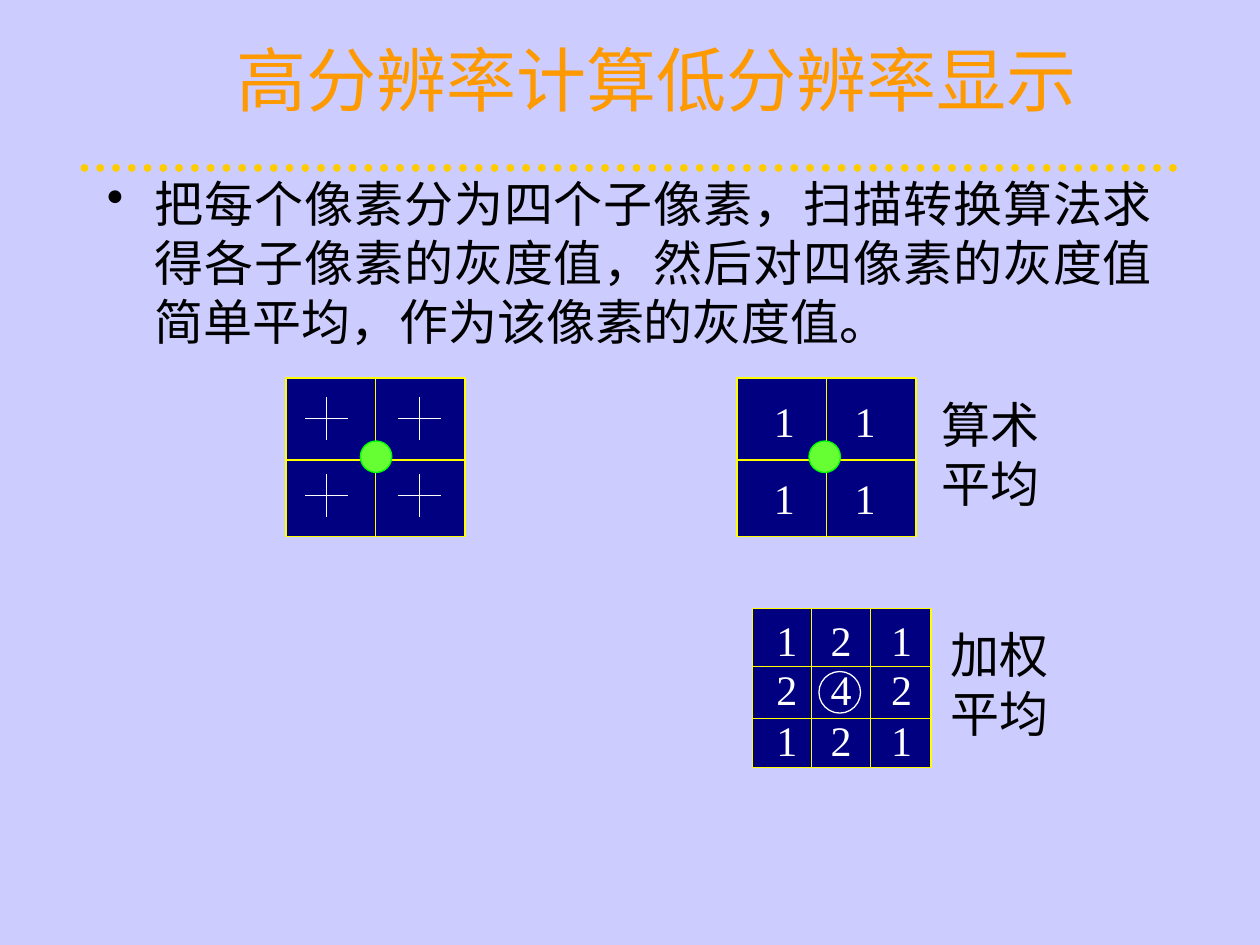
from dataclasses import dataclass
from itertools import product

from lxml import etree
from pptx import Presentation
from pptx.dml.color import RGBColor as RGB
from pptx.enum.dml import MSO_LINE
from pptx.enum.shapes import MSO_CONNECTOR as CONN, MSO_SHAPE as SHAPE
from pptx.enum.text import MSO_ANCHOR as ANCHOR, PP_ALIGN as ALIGN
from pptx.oxml.ns import qn
from pptx.util import Inches, Pt


@dataclass(frozen=True)
class Theme:
    font: str = "Times New Roman"
    background: str = "CCCCFF"
    title: str = "FF9900"
    rule: str = "FFCC00"
    text: str = "000000"
    light: str = "FFFFFF"
    pixel: str = "000080"
    edge: str = "FFFF00"
    dot: str = "66FF33"
    dot_edge: str = "00FF00"
    title_size: float = 40
    body_size: float = 28
    digit_size: float = 24
    thin: float = 0.75
    thick: float = 4.5


class Deck:
    """Holds the theme and the current slide."""

    def __init__(self, slide, theme):
        self.slide, self.theme = slide, theme
        fill = slide.background.fill
        fill.solid()
        fill.fore_color.rgb = RGB.from_string(theme.background)

    def set_text(self, tf, text, size, color, align):
        tf.word_wrap = True
        tf.text = text
        p = tf.paragraphs[0]
        p.alignment = align
        p.space_before = Pt(0)
        font = p.runs[0].font
        font.name, font.size = self.theme.font, Pt(size)
        font.color.rgb = RGB.from_string(color)
        return p

    def title(self, text, x, y, w, h):
        sp = self.slide.shapes.title
        sp.left, sp.top, sp.width, sp.height = map(Inches, (x, y, w, h))
        sp.text_frame.vertical_anchor = ANCHOR.MIDDLE
        self.set_text(sp.text_frame, text, self.theme.title_size, self.theme.title, ALIGN.CENTER)

    def text(self, text, x, y, w, h, size, color, align=ALIGN.CENTER):
        sp = self.slide.shapes.add_textbox(*map(Inches, (x, y, w, h)))
        return self.set_text(sp.text_frame, text, size, color, align)

    def bullet(self, text, x, y, w, h):
        p = self.text(text, x, y, w, h, self.theme.body_size, self.theme.text, ALIGN.JUSTIFY)
        pPr = p._p.get_or_add_pPr()
        pPr.set("marL", str(Inches(0.38)))
        pPr.set("indent", str(Inches(-0.38)))
        etree.SubElement(pPr, qn("a:buChar")).set("char", "•")

    def line(self, x1, y1, x2, y2, color, width=None):
        ln = self.slide.shapes.add_connector(CONN.STRAIGHT, *map(Inches, (x1, y1, x2, y2)))
        ln.line.color.rgb = RGB.from_string(color)
        ln.line.width = Pt(width or self.theme.thin)
        etree.SubElement(ln._element.spPr, qn("a:effectLst"))
        return ln

    def dotted_rule(self, x1, x2, y):
        ln = self.line(x1, y, x2, y, self.theme.rule, self.theme.thick)
        ln.line.dash_style = MSO_LINE.ROUND_DOT
        ln._element.spPr.find(qn("a:ln")).set("cap", "rnd")

    def shape(self, kind, x, y, w, h, fill, edge):
        sp = self.slide.shapes.add_shape(kind, *map(Inches, (x, y, w, h)))
        sp.shadow.inherit = False
        if fill:
            sp.fill.solid()
            sp.fill.fore_color.rgb = RGB.from_string(fill)
        else:
            sp.fill.background()
        sp.line.color.rgb = RGB.from_string(edge)
        sp.line.width = Pt(self.theme.thin)

    def pixel(self, x, y, columns, rows, w=1.42, h=1.26):
        """A pixel split at the given column and row offsets."""
        t = self.theme
        self.shape(SHAPE.RECTANGLE, x, y, w, h, t.pixel, t.edge)
        for dy in rows:
            self.line(x, y + dy, x + w, y + dy, t.edge)
        for dx in columns:
            self.line(x + dx, y, x + dx, y + h, t.edge)

    def digits(self, values, lefts, tops):
        for value, (y, x) in zip(values, product(tops, lefts)):
            self.text(value, x, y, 0.79, 0.5, self.theme.digit_size, self.theme.light)

    def label(self, text, x, y):
        self.text(text, x, y, 1.02, 1.04, self.theme.body_size, self.theme.text)

    def cross(self, cx, cy, arm=0.17):
        self.line(cx - arm, cy, cx + arm, cy, self.theme.light)
        self.line(cx, cy - arm, cx, cy + arm, self.theme.light)

    def center_dot(self, x, y):
        self.shape(SHAPE.OVAL, x, y, 0.25, 0.25, self.theme.dot, self.theme.dot_edge)


def main():
    prs = Presentation()
    prs.slide_width, prs.slide_height = Inches(10), Inches(7.5)
    s = Deck(prs.slides.add_slide(prs.slide_layouts[5]), Theme())

    # Heading and explanation
    s.dotted_rule(0.67, 9.33, 1.33)
    s.title("高分辨率计算低分辨率显示", 1.25, 0, 7.92, 1.25)
    s.bullet("把每个像素分为四个子像素，扫描转换算法求得各子像素的灰度值，"
             "然后对四像素的灰度值简单平均，作为该像素的灰度值。", 0.75, 1.33, 8.5, 5.33)

    # Four subpixels with their sample points
    s.pixel(2.27, 3, [0.71], [0.65])
    s.center_dot(2.86, 3.5)
    for cx, cy in product((2.59, 3.33), (3.32, 3.93)):
        s.cross(cx, cy)

    # Arithmetic mean
    s.pixel(5.85, 3, [0.71], [0.65])
    s.digits("1111", (5.83, 6.47), (3.09, 3.7))
    s.label("算术平均", 7.35, 3.08)
    s.center_dot(6.42, 3.5)

    # Weighted mean
    s.pixel(5.97, 4.83, [0.47, 0.94], [0.46, 0.87])
    s.digits("121242121", (5.85, 6.28, 6.76), (4.83, 5.22, 5.62))
    s.label("加权平均", 7.42, 4.91)
    s.shape(SHAPE.OVAL, 6.5, 5.33, 0.33, 0.33, None, s.theme.light)

    prs.save("out.pptx")


if __name__ == "__main__":
    main()
